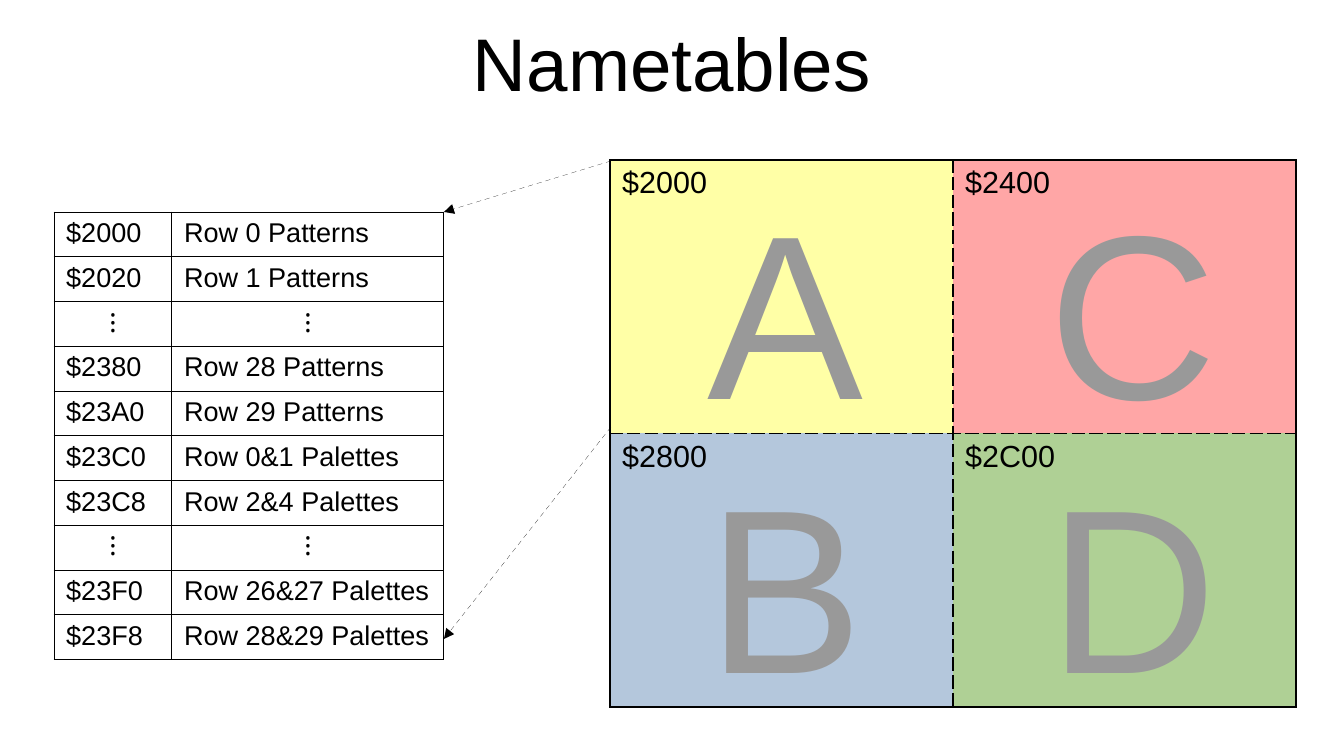
from dataclasses import dataclass

import pptx
import pptx.dml.color
import pptx.enum.dml
import pptx.enum.shapes
import pptx.enum.text
import pptx.oxml
import pptx.oxml.ns
import pptx.util
from lxml import etree

PX_PER_INCH = 122
qn = pptx.oxml.ns.qn
ALIGN = pptx.enum.text.PP_ALIGN


@dataclass(frozen=True)
class Theme:
    font: str = "Arial"
    ink: str = "000000"
    paper: str = "FFFFFF"
    letter: str = "999999"
    yellow: str = "FFFFA6"
    red: str = "FFA6A6"
    blue: str = "B4C7DC"
    green: str = "AFD095"
    title_pt: float = 44
    address_pt: float = 18
    row_pt: float = 16
    letter_pt: float = 137.9
    frame_pt: float = 1.13
    grid_pt: float = 0.62


THEME = Theme()


@dataclass(frozen=True)
class Box:
    left: int
    top: int
    width: int
    height: int


@dataclass(frozen=True)
class Nametable:
    letter: str
    address: str
    color: str
    row: int
    col: int
    letter_box: Box


@dataclass(frozen=True)
class Arrow:
    start: tuple[int, int]
    end: tuple[int, int]


NAMETABLES = [
    Nametable("A", "$2000", THEME.yellow, 0, 0, Box(695, 160, 179, 273)),
    Nametable("B", "$2800", THEME.blue, 1, 0, Box(695, 434, 179, 273)),
    Nametable("C", "$2400", THEME.red, 0, 1, Box(1037, 160, 193, 273)),
    Nametable("D", "$2C00", THEME.green, 1, 1, Box(1037, 434, 193, 273)),
]

ELLIPSIS = "⁝"
MEMORY_ROWS = [
    ("$2000", "Row 0 Patterns"),
    ("$2020", "Row 1 Patterns"),
    (ELLIPSIS, ELLIPSIS),
    ("$2380", "Row 28 Patterns"),
    ("$23A0", "Row 29 Patterns"),
    ("$23C0", "Row 0&1 Palettes"),
    ("$23C8", "Row 2&4 Palettes"),
    (ELLIPSIS, ELLIPSIS),
    ("$23F0", "Row 26&27 Palettes"),
    ("$23F8", "Row 28&29 Palettes"),
]

ARROWS = [Arrow((611, 161), (444, 212)), Arrow((611, 427), (444, 639))]


def px(n: int) -> pptx.util.Emu:
    return pptx.util.Emu(round(n * 914400 / PX_PER_INCH))


def rgb(color: str) -> pptx.dml.color.RGBColor:
    return pptx.dml.color.RGBColor.from_string(color)


def place(box: Box) -> tuple[pptx.util.Emu, ...]:
    return px(box.left), px(box.top), px(box.width), px(box.height)


def write(tf, text: str, size: float, color: str = THEME.ink, align=ALIGN.LEFT) -> None:
    tf.text = text
    p = tf.paragraphs[0]
    p.alignment = align
    for r in p.runs:
        r.font.name = THEME.font
        r.font.size = pptx.util.Pt(size)
        r.font.color.rgb = rgb(color)


def add_plain_table(slide, box: Box, col_widths: list[int], row_count: int):
    """Add a table without banding whose rows share the height equally."""
    table = slide.shapes.add_table(row_count, len(col_widths), *place(box)).table
    table.first_row = table.horz_banding = False
    for column, width in zip(table.columns, col_widths):
        column.width = px(width)
    for row in table.rows:
        row.height = px(box.height) // row_count
    return table


def style_cell(cell, fill: str, border_pt: float, dashed: str = "") -> None:
    """Border and fill a cell; dashed holds the sides (of LRTB) drawn dashed."""
    tcPr = cell._tc.get_or_add_tcPr()
    for side in "LRTB":
        ln = etree.SubElement(tcPr, qn(f"a:ln{side}"), w=str(pptx.util.Pt(border_pt)))
        solid = etree.SubElement(ln, qn("a:solidFill"))
        etree.SubElement(solid, qn("a:srgbClr"), val=THEME.ink)
        etree.SubElement(ln, qn("a:prstDash"), val="dash" if side in dashed else "solid")
    cell.fill.solid()
    cell.fill.fore_color.rgb = rgb(fill)


def add_title(slide, text: str) -> None:
    sp = slide.shapes.title
    sp.left, sp.top, sp.width, sp.height = place(Box(67, -2, 1210, 127))
    tf = sp.text_frame
    tf.margin_left = tf.margin_right = tf.margin_top = tf.margin_bottom = 0
    tf.vertical_anchor = pptx.enum.text.MSO_ANCHOR.MIDDLE
    write(tf, text, THEME.title_pt, align=ALIGN.CENTER)


def add_nametables(slide) -> None:
    table = add_plain_table(slide, Box(610, 160, 686, 547), [343, 343], 2)
    for nt in NAMETABLES:
        cell = table.cell(nt.row, nt.col)
        write(cell.text_frame, nt.address, THEME.address_pt)
        inner_sides = "RL"[nt.col] + "BT"[nt.row]
        style_cell(cell, nt.color, THEME.frame_pt, inner_sides)
    for nt in NAMETABLES:
        tf = slide.shapes.add_textbox(*place(nt.letter_box)).text_frame
        tf.word_wrap = False
        tf.auto_size = pptx.enum.text.MSO_AUTO_SIZE.SHAPE_TO_FIT_TEXT
        write(tf, nt.letter, THEME.letter_pt, THEME.letter)


def add_memory_map(slide) -> None:
    table = add_plain_table(slide, Box(54, 212, 390, 447), [118, 272], len(MEMORY_ROWS))
    for i, texts in enumerate(MEMORY_ROWS):
        for j, text in enumerate(texts):
            cell = table.cell(i, j)
            align = ALIGN.CENTER if text == ELLIPSIS else ALIGN.LEFT
            write(cell.text_frame, text, THEME.row_pt, align=align)
            style_cell(cell, THEME.paper, THEME.grid_pt)


def add_arrow(slide, arrow: Arrow) -> None:
    """Add a dashed hairline with a triangle at its end."""
    cxn = slide.shapes.add_connector(
        pptx.enum.shapes.MSO_CONNECTOR.STRAIGHT, *map(px, arrow.start + arrow.end))
    cxn.line.color.rgb = rgb(THEME.ink)
    cxn.line.dash_style = pptx.enum.dml.MSO_LINE.DASH
    spPr = cxn._element.spPr
    ln = spPr.find(qn("a:ln"))
    ln.set("w", "0")
    etree.SubElement(ln, qn("a:tailEnd"), type="triangle")
    etree.SubElement(spPr, qn("a:effectLst"))


def main() -> None:
    prs = pptx.Presentation()
    prs.slide_width, prs.slide_height = px(1344), px(756)
    slide = prs.slides.add_slide(prs.slide_layouts.get_by_name("Title Only"))
    add_title(slide, "Nametables")
    add_nametables(slide)
    add_memory_map(slide)
    for arrow in ARROWS:
        add_arrow(slide, arrow)
    prs.save("out.pptx")


if __name__ == "__main__":
    main()
